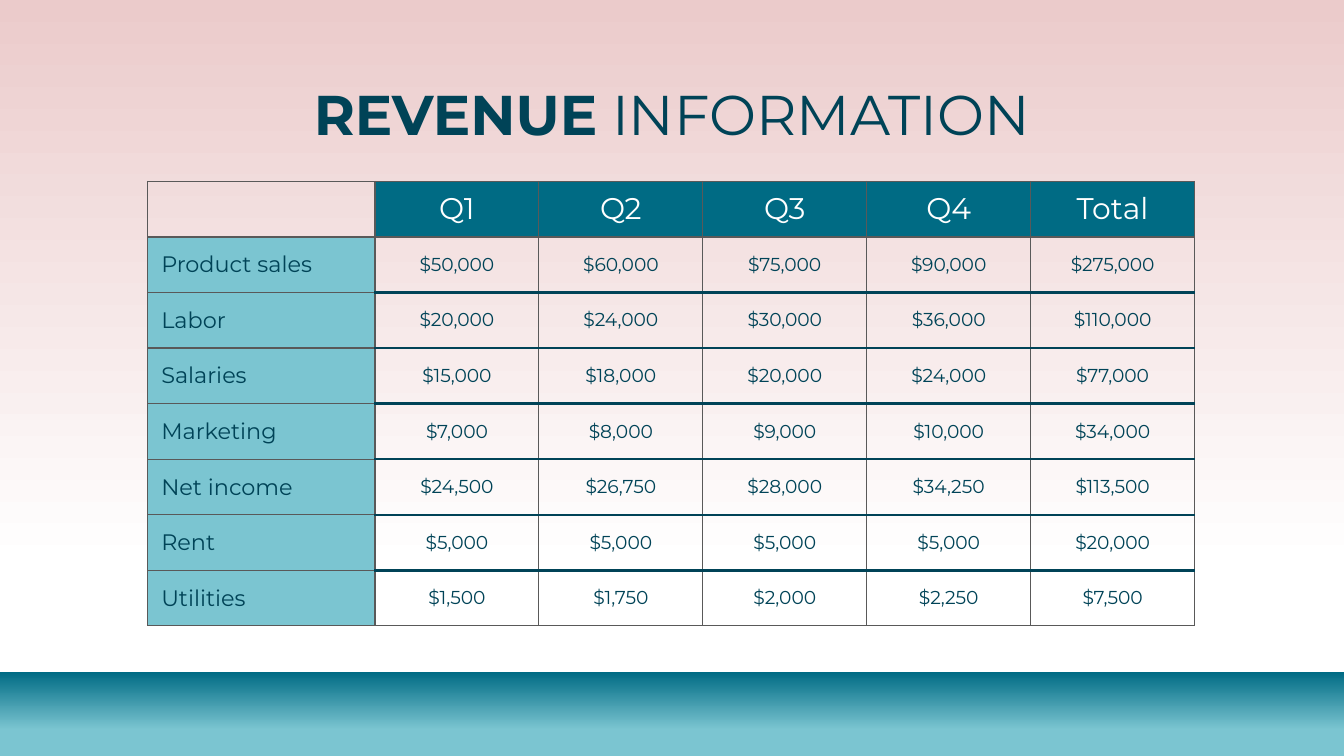
import pptx
import pptx.dml.color
import pptx.enum.shapes
import pptx.enum.text
import pptx.oxml
import pptx.oxml.ns
import pptx.util

Inches = pptx.util.Inches
Pt = pptx.util.Pt
CENTER = pptx.enum.text.PP_ALIGN.CENTER
LEFT = pptx.enum.text.PP_ALIGN.LEFT

NAVY, TEAL, AQUA, GREY, WHITE, PINK = "004357", "006B84", "7BC5D1", "595959", "FFFFFF", "EBCBCB"


def rgb(color):
    return pptx.dml.color.RGBColor.from_string(color)


def add_text(paragraph, text, size, color, bold=False):
    run = paragraph.add_run()
    run.text = text
    run.font.name = "Montserrat"
    run.font.size = Pt(size)
    run.font.bold = bold
    run.font.color.rgb = rgb(color)


presentation = pptx.Presentation()
presentation.slide_width = Inches(10)
presentation.slide_height = Inches(10) * 9 // 16
slide = presentation.slides.add_slide(presentation.slide_layouts[5])

footer_band = slide.shapes.add_shape(
    pptx.enum.shapes.MSO_SHAPE.RECTANGLE,
    0, Inches(5), Inches(10), presentation.slide_height - Inches(5),
)
footer_band.shadow.inherit = False
footer_band.line.fill.background()

gradients = [
    (slide.background.fill, 0.25, WHITE, PINK),
    (footer_band.fill, 0.31, AQUA, TEAL),
]
for fill, start, bottom_color, top_color in gradients:
    fill.gradient()
    fill.gradient_angle = 90
    bottom_stop, top_stop = fill.gradient_stops
    bottom_stop.position, top_stop.position = start, 1
    bottom_stop.color.rgb = rgb(bottom_color)
    top_stop.color.rgb = rgb(top_color)

title = slide.shapes.title
title.left, title.top = Inches(0.79), Inches(0.49)
title.width, title.height = Inches(8.42), Inches(0.63)
heading = title.text_frame
heading.word_wrap = True
heading.auto_size = pptx.enum.text.MSO_AUTO_SIZE.NONE
heading.vertical_anchor = pptx.enum.text.MSO_ANCHOR.TOP
heading.margin_left = heading.margin_right = Inches(0.1)
heading.margin_top = heading.margin_bottom = Inches(0.1)
heading.paragraphs[0].alignment = CENTER
add_text(heading.paragraphs[0], "REVENUE", 30, NAVY, bold=True)
add_text(heading.paragraphs[0], " INFORMATION", 30, NAVY)

revenue = [
    ["", "Q1", "Q2", "Q3", "Q4", "Total"],
    ["Product sales", "$50,000", "$60,000", "$75,000", "$90,000", "$275,000"],
    ["Labor", "$20,000", "$24,000", "$30,000", "$36,000", "$110,000"],
    ["Salaries", "$15,000", "$18,000", "$20,000", "$24,000", "$77,000"],
    ["Marketing", "$7,000", "$8,000", "$9,000", "$10,000", "$34,000"],
    ["Net income", "$24,500", "$26,750", "$28,000", "$34,250", "$113,500"],
    ["Rent", "$5,000", "$5,000", "$5,000", "$5,000", "$20,000"],
    ["Utilities", "$1,500", "$1,750", "$2,000", "$2,250", "$7,500"],
]
last_row = len(revenue) - 1
table = slide.shapes.add_table(
    len(revenue), len(revenue[0]), Inches(1.1), Inches(1.35), Inches(7.79), Inches(3.31)
).table
table.first_row = False
table.horz_banding = False
for index, column in enumerate(table.columns):
    column.width = Inches(1.22 if index else 1.69)

thin, thick = (GREY, 0.75), (NAVY, 1.47)
for row, values in enumerate(revenue):
    for col, value in enumerate(values):
        cell = table.cell(row, col)
        is_amount = row > 0 and col > 0
        borders = {
            "lnL": thin,
            "lnR": thin,
            "lnT": thick if is_amount and row > 1 else thin,
            "lnB": thick if is_amount and row < last_row else thin,
        }
        properties = cell._tc.get_or_add_tcPr()
        for side, (color, width) in borders.items():
            properties.append(pptx.oxml.parse_xml(
                f'<a:{side} {pptx.oxml.ns.nsdecls("a")} w="{Pt(width)}">'
                f'<a:solidFill><a:srgbClr val="{color}"/></a:solidFill></a:{side}>'
            ))

        if is_amount:
            background, size, color = None, 10, NAVY
        elif row:
            background, size, color = AQUA, 12, NAVY
        else:
            background, size, color = TEAL if col else None, 16, WHITE

        if background:
            cell.fill.solid()
            cell.fill.fore_color.rgb = rgb(background)
        else:
            cell.fill.background()

        cell.vertical_anchor = pptx.enum.text.MSO_ANCHOR.MIDDLE
        if value:
            paragraph = cell.text_frame.paragraphs[0]
            paragraph.alignment = CENTER if col else LEFT
            add_text(paragraph, value, size, color)

presentation.save("out.pptx")
